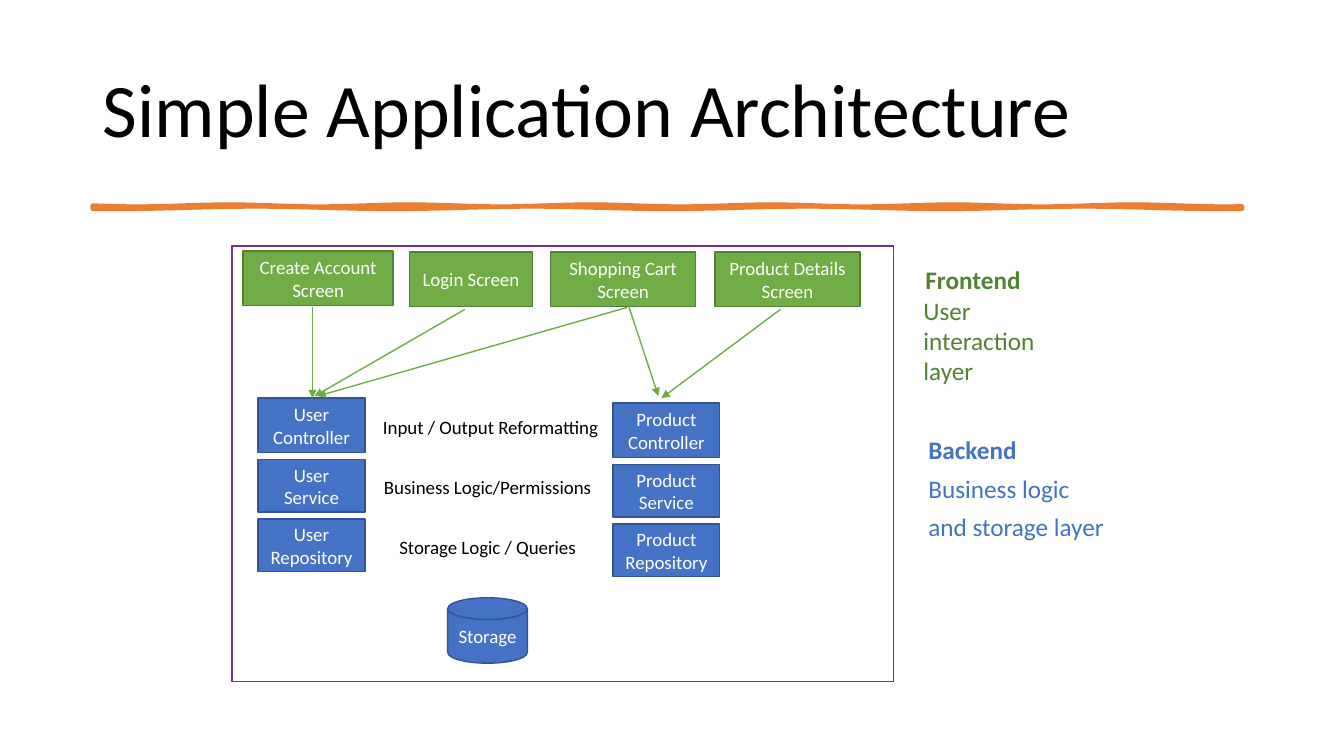
from dataclasses import dataclass
from math import sin
from lxml.etree import SubElement
from pptx import Presentation
from pptx.dml.color import RGBColor
from pptx.enum.shapes import MSO_CONNECTOR, MSO_SHAPE
from pptx.enum.text import MSO_ANCHOR, PP_ALIGN
from pptx.oxml.ns import qn
from pptx.util import Inches, Pt


@dataclass(frozen=True)
class Theme:
    font: str = "Calibri"
    black: str = "000000"
    white: str = "FFFFFF"
    orange: str = "ED7D31"
    purple: str = "7030A0"
    blue: str = "4472C4"
    navy: str = "325491"
    green: str = "70AD47"
    forest: str = "538035"
    moss: str = "548235"
    title: float = 54
    side: float = 18
    small: float = 13.5
    gap: float = 6
    edge: float = 1
    stroke: float = 3.25


THEME = Theme()


def color(code):
    return RGBColor.from_string(code)


def place(box, left, top, width, height):
    return box[0] + left, box[1] + top, width, height


def write(frame, lines, size, ink, align=PP_ALIGN.LEFT, bold=False, after=THEME.gap):
    for i, line in enumerate(lines):
        para = frame.paragraphs[0] if i == 0 else frame.add_paragraph()
        para.alignment = align
        para.space_after = Pt(after)
        run = para.add_run()
        run.text = line
        run.font.name = THEME.font
        run.font.size = Pt(size)
        run.font.bold = bold and i == 0
        run.font.color.rgb = color(ink)


def add_text(slide, box, lines, size, ink, wrap=True, **style):
    frame = slide.shapes.add_textbox(*map(Inches, box)).text_frame
    frame.word_wrap = wrap
    write(frame, lines, size, ink, **style)
    return frame


def paint(shape, fill, edge, width=THEME.edge):
    shape.shadow.inherit = False
    shape.fill.solid()
    shape.fill.fore_color.rgb = color(fill)
    shape.line.color.rgb = color(edge)
    shape.line.width = Pt(width)


def add_block(slide, box, text, fill, edge, kind=MSO_SHAPE.RECTANGLE):
    shape = slide.shapes.add_shape(kind, *map(Inches, box))
    paint(shape, fill, edge)
    if text:
        frame = shape.text_frame
        frame.word_wrap = True
        frame.vertical_anchor = MSO_ANCHOR.MIDDLE
        write(frame, [text], THEME.small, THEME.white, PP_ALIGN.CENTER)


def add_arrow(slide, box, start, end):
    ends = [Inches(box[i % 2] + value) for i, value in enumerate(start + end)]
    arrow = slide.shapes.add_connector(MSO_CONNECTOR.STRAIGHT, *ends)
    arrow.line.color.rgb = color(THEME.green)
    arrow.line.width = Pt(THEME.edge)
    SubElement(arrow.line._get_or_add_ln(), qn("a:tailEnd"), type="triangle")
    SubElement(arrow._element.spPr, qn("a:effectLst"))


def add_title(slide, box, text):
    frame = add_text(slide, box, [text], THEME.title, THEME.black, after=0)
    frame.vertical_anchor = MSO_ANCHOR.MIDDLE
    frame.paragraphs[0].line_spacing = 0.9


def add_rule(slide, box):
    left, top, width, height = box
    steps = [width * i / 100 for i in range(101)]
    upper = [(left + x, top + 0.01 * sin(3.5 * x)) for x in steps]
    lower = [(left + x, top + height + 0.012 * sin(2.3 * x + 1)) for x in steps]
    points = [(Inches(x), Inches(y)) for x, y in upper + lower[::-1]]
    path = slide.shapes.build_freeform(*points[0])
    path.add_line_segments(points[1:], close=True)
    paint(path.convert_to_shape(), THEME.orange, THEME.orange, THEME.stroke)


def add_stack(slide, box, name):
    parts = [("Controller", 0, 0.54), ("Service", 0.61, 0.52), ("Repository", 1.2, 0.52)]
    for part, top, height in parts:
        spot = place(box, 0, top, box[2], height)
        add_block(slide, spot, f"{name} {part}", THEME.blue, THEME.navy)


def add_graph(slide, box):
    add_block(slide, box, "", THEME.white, THEME.purple)
    add_stack(slide, place(box, 0.26, 1.51, 1.06, 1.72), "User")
    add_stack(slide, place(box, 3.78, 1.56, 1.06, 1.72), "Product")
    add_block(slide, place(box, 2.14, 3.49, 0.79, 0.65), "Storage",
              THEME.blue, THEME.navy, MSO_SHAPE.FLOWCHART_MAGNETIC_DISK)
    labels = [
        ("Input / Output Reformatting", 1.35, 1.63, 2.43),
        ("Business Logic/Permissions", 1.39, 2.23, 2.29),
        ("Storage Logic / Queries", 1.39, 2.82, 2.29),
    ]
    for text, left, top, width in labels:
        add_text(slide, place(box, left, top, width, 0.33), [text],
                 THEME.small, THEME.black, align=PP_ALIGN.CENTER)
    screens = [
        ("Create Account", 0.11, 0.05, 1.49),
        ("Login", 1.76, 0.06, 1.22),
        ("Shopping Cart", 3.16, 0.06, 1.44),
        ("Product Details", 4.79, 0.06, 1.44),
    ]
    for name, left, top, width in screens:
        add_block(slide, place(box, left, top, width, 0.54), f"{name} Screen",
                  THEME.green, THEME.forest)
    arrows = [
        ((0.8, 0.61), (0.8, 1.51)),
        ((2.31, 0.63), (0.82, 1.49)),
        ((3.92, 0.61), (0.85, 1.49)),
        ((3.94, 0.61), (4.23, 1.49)),
        ((5.44, 0.63), (4.26, 1.51)),
    ]
    for start, end in arrows:
        add_arrow(slide, box, start, end)


def add_notes(slide, box):
    add_text(slide, place(box, 0.02, 0, 1.15, 0.4), ["Frontend"],
             THEME.side, THEME.moss, wrap=False, bold=True)
    add_text(slide, place(box, 0, 0.31, 1.59, 1.01), ["User interaction layer"],
             THEME.side, THEME.moss)
    add_text(slide, place(box, 0.05, 1.69, 1.96, 1.18),
             ["Backend", "Business logic", "and storage layer"],
             THEME.side, THEME.blue, wrap=False, bold=True)


def main():
    deck = Presentation()
    deck.slide_width = Inches(13.33)
    deck.slide_height = Inches(7.5)
    slide = deck.slides.add_slide(deck.slide_layouts[6])
    add_title(slide, (0.92, 0.4, 11.5, 1.45), "Simple Application Architecture")
    add_rule(slide, (0.92, 2.04, 11.4, 0.02))
    add_graph(slide, (2.3, 2.44, 6.56, 4.32))
    add_notes(slide, (9.06, 2.57, 2.01, 2.87))
    deck.save("out.pptx")


if __name__ == "__main__":
    main()
